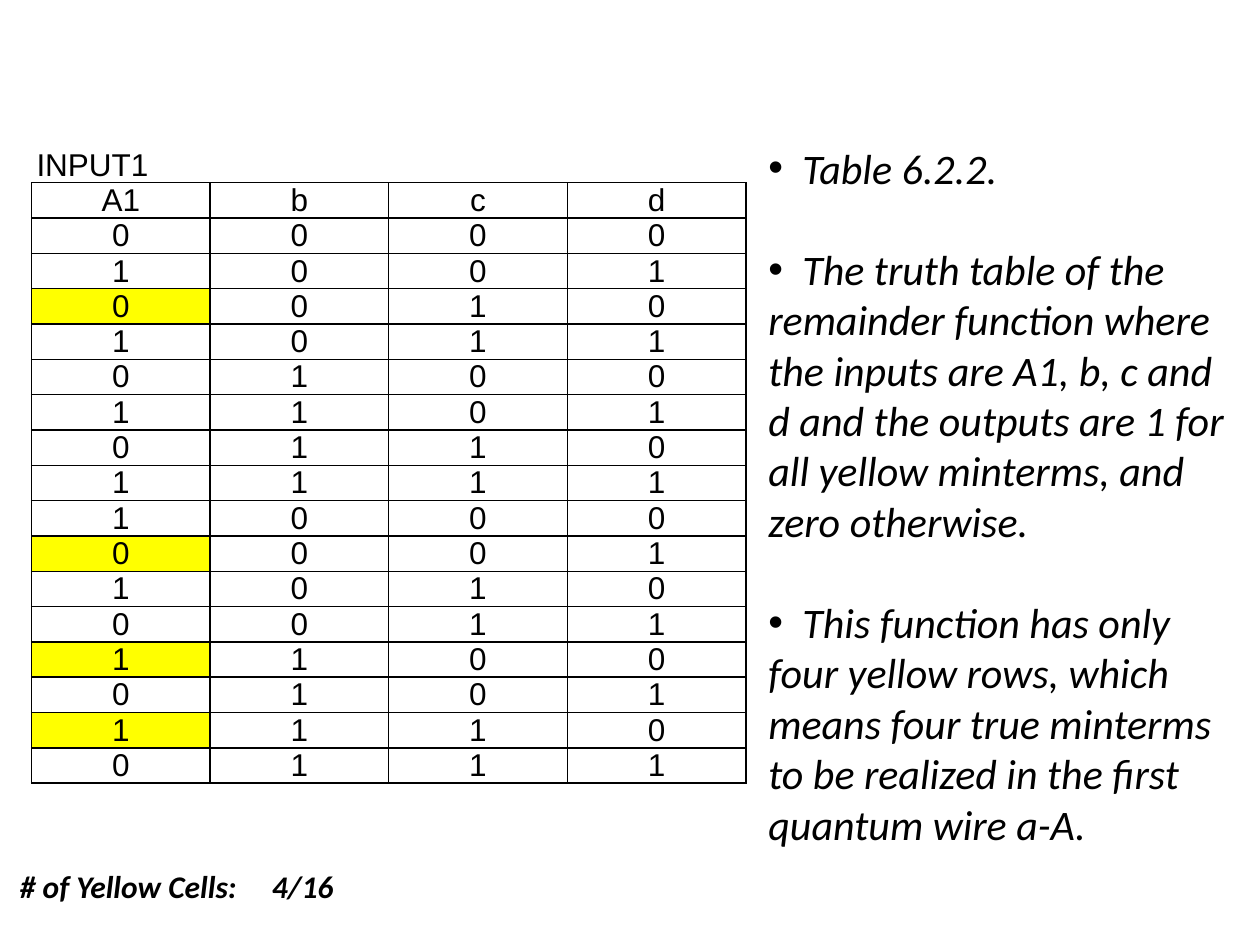
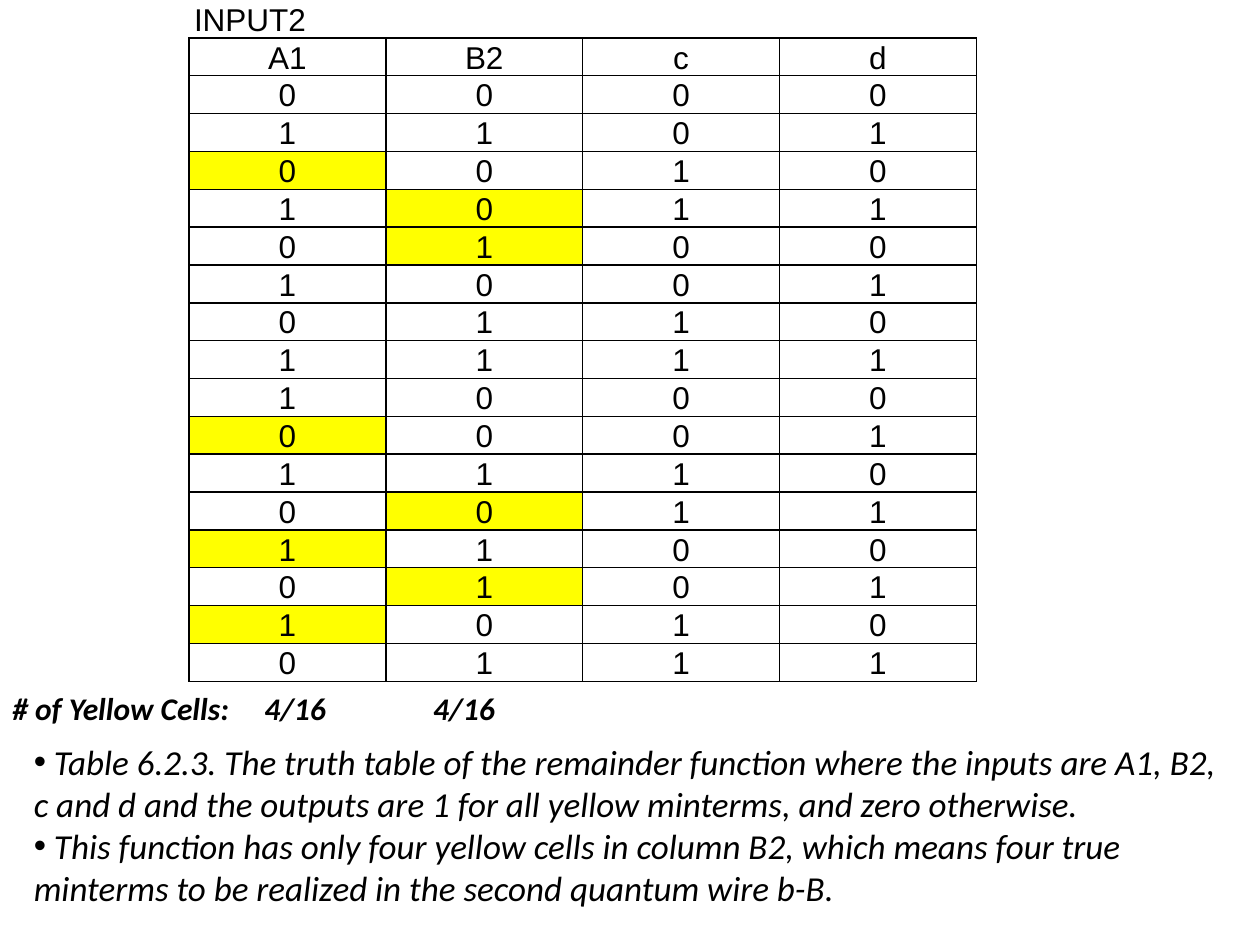
"""Build two slides with the truth tables of the remainder function."""
from lxml.etree import SubElement
from pptx import Presentation
from pptx.dml.color import RGBColor
from pptx.enum.text import MSO_ANCHOR, PP_ALIGN
from pptx.oxml.ns import qn
from pptx.util import Inches, Pt

BLACK, YELLOW = "000000", "FFFF00"
ROW_HEIGHT = 0.28


def write(frame, paragraphs, size=18, font="Calibri", bold=False, italic=False,
          align=PP_ALIGN.LEFT, gap=0, bullet=False, tabs=()):
    """Fill a text frame with equally formatted paragraphs."""
    frame.word_wrap = True
    for i, text in enumerate(paragraphs):
        paragraph = frame.add_paragraph() if i else frame.paragraphs[0]
        paragraph.alignment = align
        paragraph.space_before = Pt(gap if i else 0)
        run = paragraph.add_run()
        run.text = text
        run.font.size, run.font.name = Pt(size), font
        run.font.bold, run.font.italic = bold, italic
        run.font.color.rgb = RGBColor.from_string(BLACK)
        props = paragraph._p.get_or_add_pPr()
        if bullet:
            SubElement(props, qn("a:buFont"), typeface="Arial")
            SubElement(props, qn("a:buChar"), char="•")
        if tabs:
            stops = SubElement(props, qn("a:tabLst"))
            for stop in tabs:
                SubElement(stops, qn("a:tab"), pos=str(Inches(stop)), algn="l")


def set_borders(cell, visible_sides):
    """Draw black lines on the named sides of a cell and none elsewhere."""
    props = cell._tc.get_or_add_tcPr()
    for i, side in enumerate("LRTB"):
        line = props.makeelement(qn(f"a:ln{side}"), {"w": str(Pt(1))})
        props.insert(i, line)
        if side in visible_sides:
            SubElement(SubElement(line, qn("a:solidFill")), qn("a:srgbClr"), val=BLACK)
        else:
            SubElement(line, qn("a:noFill"))


a1 = ("A1", "0101010110101010", {2, 9, 12, 14})
b = ("b", "00001111" * 2, set())
b2 = ("B2", "0100101100101101", {3, 4, 11, 13})
c = ("c", "0011" * 4, set())
d = ("d", "01" * 8, set())

slides = [
    dict(
        title="INPUT1", columns=[a1, b, c, d], table_at=(0.25, 1.17), table_width=5.67,
        count="# of Yellow Cells:\t4/16", count_at=(0.06, 6.83, 6.25, 0.4),
        notes=[
            "\tTable 6.2.2.",
            "\tThe truth table of the remainder function where the inputs are A1, b, c and d "
            "and the outputs are 1 for all yellow minterms, and zero otherwise.",
            "\tThis function has only four yellow rows, which means four true minterms "
            "to be realized in the first quantum wire a-A.",
        ],
        notes_at=(6, 1.08, 3.83, 6.16), notes_format=dict(size=24, gap=29, tabs=[0.27]),
    ),
    dict(
        title="INPUT2", columns=[a1, b2, c, d], table_at=(1.5, 0), table_width=6.25,
        count="# of Yellow Cells:\t4/16\t4/16", count_at=(0, 5.42, 7, 0.4),
        notes=[
            " Table 6.2.3. The truth table of the remainder function where the inputs are "
            "A1, B2, c and d and the outputs are 1 for all yellow minterms, and zero otherwise.",
            " This function has only four yellow cells in column B2, which means four true "
            "minterms to be realized in the second quantum wire b-B.",
        ],
        notes_at=(0.17, 5.83, 9.67, 1.78), notes_format=dict(size=20),
    ),
]

deck = Presentation()
deck.slide_width, deck.slide_height = Inches(10), Inches(7.5)

for content in slides:
    slide = deck.slides.add_slide(deck.slide_layouts[6])
    columns = content["columns"]
    row_count = len(a1[1]) + 2
    left, top = content["table_at"]
    truth_table = slide.shapes.add_table(
        row_count, len(columns), Inches(left), Inches(top),
        Inches(content["table_width"]), Inches(ROW_HEIGHT * row_count)).table
    truth_table.first_row = truth_table.horz_banding = False

    for col, (heading, bits, yellow_rows) in enumerate(columns):
        title = content["title"] if col == 0 else ""
        for row, text in enumerate([title, heading, *bits]):
            cell = truth_table.cell(row, col)
            cell.margin_left = cell.margin_right = Inches(0.04)
            cell.margin_top = cell.margin_bottom = 0
            cell.vertical_anchor = MSO_ANCHOR.BOTTOM
            write(cell.text_frame, [text], font="Arial",
                  align=PP_ALIGN.CENTER if row else PP_ALIGN.LEFT)
            if row - 2 in yellow_rows:
                cell.fill.solid()
                cell.fill.fore_color.rgb = RGBColor.from_string(YELLOW)
            else:
                cell.fill.background()
            set_borders(cell, "LRTB" if row else "B")

    count_box = slide.shapes.add_textbox(*map(Inches, content["count_at"]))
    write(count_box.text_frame, [content["count"]], bold=True, italic=True, tabs=[2, 3.34])
    notes_box = slide.shapes.add_textbox(*map(Inches, content["notes_at"]))
    write(notes_box.text_frame, content["notes"], italic=True, bullet=True,
          **content["notes_format"])

deck.save("out.pptx")
